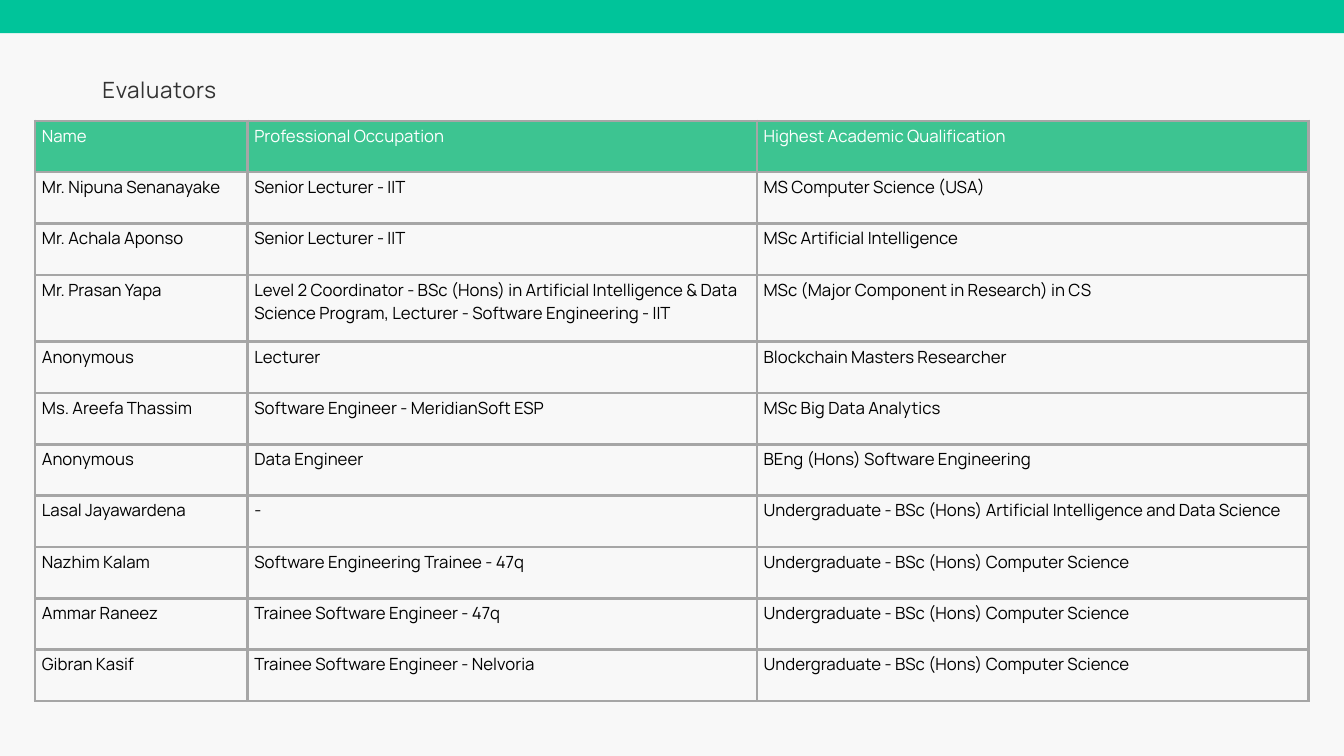
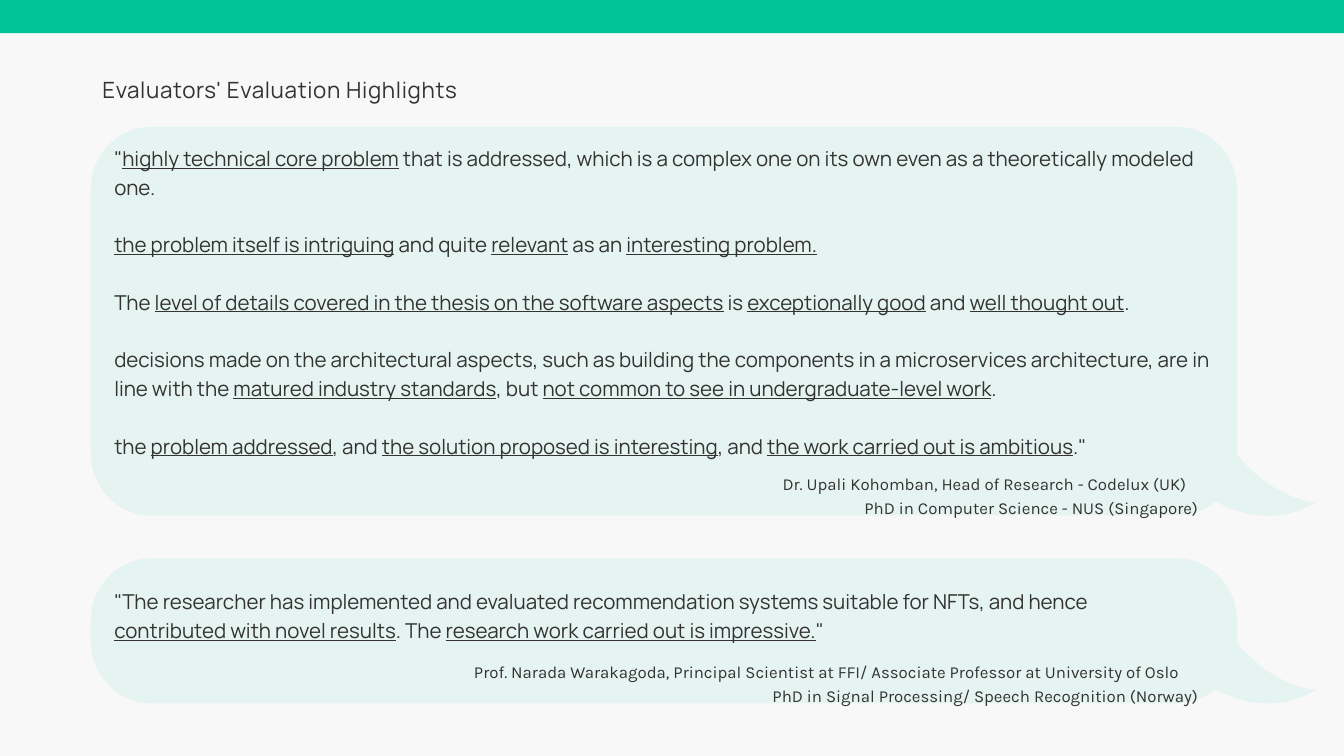
from pptx import Presentation
from pptx.dml.color import RGBColor
from pptx.enum.shapes import MSO_SHAPE
from pptx.enum.text import PP_ALIGN
from pptx.oxml.ns import qn
from pptx.util import Cm, Pt
from lxml.etree import SubElement

COLORS = {
    "background": "F8F8F8",
    "brand": "00C49A",
    "header": "3DC491",
    "border": "A6A6A6",
    "text": "333333",
    "black": "000000",
    "white": "FFFFFF",
}
BODY_FONT, CREDIT_FONT = "Manrope", "Karla"
SLIDE_W, SLIDE_H = 50.8, 28.58

# Bubble geometry in cm
BUBBLE_LEFT, BUBBLE_RIGHT = 3.43, 46.76
CORNER_X, CORNER_Y = 2.26, 2.36
CURVE = 0.55
QUOTE_LEFT, CREDIT_RIGHT = 4.32, 45.29

COLUMN_WIDTHS = [8.03, 19.25, 20.85]
ROW_HEIGHT, TALL_ROW_HEIGHT, TALL_ROW = 1.94, 2.53, 3
UNDERGRADUATE = "Undergraduate - BSc (Hons) Computer Science"
EVALUATORS = [
    ("Name", "Professional Occupation", "Highest Academic Qualification"),
    ("Mr. Nipuna Senanayake", "Senior Lecturer - IIT", "MS Computer Science (USA)"),
    ("Mr. Achala Aponso", "Senior Lecturer - IIT", "MSc Artificial Intelligence"),
    ("Mr. Prasan Yapa",
     "Level 2 Coordinator - BSc (Hons) in Artificial Intelligence & Data "
     "Science Program, Lecturer - Software Engineering - IIT",
     "MSc (Major Component in Research) in CS"),
    ("Anonymous", "Lecturer", "Blockchain Masters Researcher"),
    ("Ms. Areefa Thassim", "Software Engineer - MeridianSoft ESP",
     "MSc Big Data Analytics"),
    ("Anonymous", "Data Engineer", "BEng (Hons) Software Engineering"),
    ("Lasal Jayawardena", "-",
     "Undergraduate - BSc (Hons) Artificial Intelligence and Data Science"),
    ("Nazhim Kalam", "Software Engineering Trainee - 47q", UNDERGRADUATE),
    ("Ammar Raneez", "Trainee Software Engineer - 47q", UNDERGRADUATE),
    ("Gibran Kasif", "Trainee Software Engineer - Nelvoria", UNDERGRADUATE),
]

# Underscores enclose the underlined words
THESIS_QUOTE = [
    '"_highly technical core problem_ that is addressed, which is a complex one '
    "on its own even as a theoretically modeled one.",
    "_the problem itself is intriguing_ and quite _relevant_ as an "
    "_interesting problem._",
    "The _level of details covered in the thesis on the software aspects_ is "
    "_exceptionally good_ and _well thought out_.",
    "decisions made on the architectural aspects, such as building the components "
    "in a microservices architecture, are in line with the "
    "_matured industry standards_, but "
    "_not common to see in undergraduate-level work_.",
    "the _problem addressed_, and _the solution proposed is interesting_, and "
    '_the work carried out is ambitious_."',
]
RESULTS_QUOTE = [
    '"The researcher has implemented and evaluated recommendation systems suitable '
    "for NFTs, and hence _contributed with novel results_. The "
    '_research work carried out is impressive._"',
]


def rgb(name):
    return RGBColor.from_string(COLORS[name])


def paint(sp, color):
    sp.shadow.inherit = False
    sp.fill.solid()
    sp.fill.fore_color.rgb = rgb(color)
    sp.line.fill.background()


def style_run(r, size, color="text", font=BODY_FONT):
    r.font.size = Pt(size)
    r.font.name = font
    r.font.color.rgb = rgb(color)


def add_text_box(slide, left, top, width, height):
    tf = slide.shapes.add_textbox(Cm(left), Cm(top), Cm(width), Cm(height)).text_frame
    tf.word_wrap = True
    tf.margin_left = tf.margin_right = tf.margin_top = tf.margin_bottom = 0
    return tf


def next_paragraph(tf, index, line_spacing):
    p = tf.add_paragraph() if index else tf.paragraphs[0]
    p.line_spacing = Pt(line_spacing)
    return p


def add_base_slide(prs):
    slide = prs.slides.add_slide(prs.slide_layouts[6])
    slide.background.fill.solid()
    slide.background.fill.fore_color.rgb = rgb("background")
    band = slide.shapes.add_shape(MSO_SHAPE.RECTANGLE, 0, 0, Cm(SLIDE_W), Cm(1.25))
    paint(band, "brand")
    return slide


def add_title(slide, text):
    p = next_paragraph(add_text_box(slide, 3.87, 2.86, 29.41, 1.02), 0, 28.8)
    p.text = text
    style_run(p.runs[0], 24)
    p.runs[0].font._element.set("spc", "70")


def add_cell_borders(cell):
    tc_pr = cell._tc.get_or_add_tcPr()
    for side in ("a:lnL", "a:lnR", "a:lnT", "a:lnB"):
        ln = SubElement(tc_pr, qn(side), w=str(Pt(3)))
        fill = SubElement(ln, qn("a:solidFill"))
        SubElement(fill, qn("a:srgbClr"), val=COLORS["border"])


def add_evaluator_table(slide):
    heights = [ROW_HEIGHT] * len(EVALUATORS)
    heights[TALL_ROW] = TALL_ROW_HEIGHT
    table = slide.shapes.add_table(
        len(EVALUATORS), len(COLUMN_WIDTHS), Cm(1.33), Cm(4.57),
        Cm(sum(COLUMN_WIDTHS)), Cm(sum(heights))).table
    table.first_row = table.horz_banding = False
    for column, width in zip(table.columns, COLUMN_WIDTHS):
        column.width = Cm(width)
    for i, values in enumerate(EVALUATORS):
        table.rows[i].height = Cm(heights[i])
        for j, value in enumerate(values):
            cell = table.cell(i, j)
            add_cell_borders(cell)
            if i == 0:
                cell.fill.solid()
                cell.fill.fore_color.rgb = rgb("header")
            else:
                cell.fill.background()
            cell.text_frame.text = value
            style_run(cell.text_frame.paragraphs[0].runs[0], 18,
                      "black" if i else "white")


def corner_curve(start, corner, end):
    """Two control points and the end of a rounded corner."""
    controls = [tuple(a + CURVE * (c - a) for a, c in zip(point, corner))
                for point in (start, end)]
    return [*controls, end]


def add_outline(slide, start, segments):
    """Closed outline; a segment has one point (line) or three (cubic curve)."""
    points = [(Cm(x), Cm(y)) for segment in segments for x, y in segment]
    builder = slide.shapes.build_freeform(Cm(start[0]), Cm(start[1]))
    builder.add_line_segments(points, close=True)
    sp = builder.convert_to_shape()
    outline = next(sp._element.iter(qn("a:path")))
    nodes = iter(outline.findall(qn("a:lnTo")))
    for segment in segments:
        first, *others = [next(nodes) for _ in segment]
        if others:
            first.tag = qn("a:cubicBezTo")
        for node in others:
            first.append(node[0])
            outline.remove(node)
    return sp


def add_bubble(slide, top, bottom):
    left, right = BUBBLE_LEFT, BUBBLE_RIGHT
    inner_left, inner_right = left + CORNER_X, right - CORNER_X
    upper, lower = top + CORNER_Y, bottom - CORNER_Y
    tail_top, tail_base = (right, bottom - 2.29), (45.95, bottom - 0.53)
    tip = (49.76, bottom - 0.51)
    segments = [
        # Rounded body
        [(right, upper)],
        corner_curve((right, upper), (right, top), (inner_right, top)),
        [(inner_left, top)],
        corner_curve((inner_left, top), (left, top), (left, upper)),
        [(left, lower)],
        corner_curve((left, lower), (left, bottom), (inner_left, bottom)),
        [(inner_right, bottom)],
        # Tail
        [(45.03, bottom), (45.54, bottom - 0.2), tail_base],
        [(46.56, bottom - 0.2), (48.08, bottom + 0.48), tip],
        [tip, (48.26, tip[1]), tail_top],
    ]
    sp = add_outline(slide, tail_top, segments)
    paint(sp, "brand")
    color = sp._element.spPr.find(qn("a:solidFill")).find(qn("a:srgbClr"))
    SubElement(color, qn("a:alpha"), val="7000")


def add_quote(slide, top, width, height, paragraphs):
    tf = add_text_box(slide, QUOTE_LEFT, top, width, height)
    for i, text in enumerate(paragraphs):
        p = next_paragraph(tf, i, 30.8)
        if i:
            p.space_before = Pt(30.8)
        for n, part in enumerate(text.split("_")):
            if part:
                r = p.add_run()
                r.text = part
                style_run(r, 22)
                r.font.underline = n % 2 == 1


def add_credit(slide, top, width, person, degree):
    tf = add_text_box(slide, CREDIT_RIGHT - width, top, width, 1.7)
    lines = [(person, PP_ALIGN.CENTER), (degree, PP_ALIGN.RIGHT)]
    for i, (text, align) in enumerate(lines):
        p = next_paragraph(tf, i, 25.2)
        p.text = text
        p.alignment = align
        style_run(p.runs[0], 18, font=CREDIT_FONT)


def main():
    prs = Presentation()
    prs.slide_width, prs.slide_height = Cm(SLIDE_W), Cm(SLIDE_H)

    # Evaluators
    slide = add_base_slide(prs)
    add_evaluator_table(slide)
    add_title(slide, "Evaluators")

    # Evaluation highlights
    slide = add_base_slide(prs)
    add_bubble(slide, 4.8, 19.49)
    add_title(slide, "Evaluators' Evaluation Highlights")
    add_quote(slide, 5.37, 42.16, 11.89, THESIS_QUOTE)
    add_credit(slide, 17.79, 16.15,
               "Dr. Upali Kohomban, Head of Research - Codelux (UK)",
               "PhD in Computer Science - NUS (Singapore)")
    add_bubble(slide, 21.11, 26.59)
    add_quote(slide, 22.12, 40.97, 2.11, RESULTS_QUOTE)
    add_credit(slide, 24.89, 28.09,
               "Prof. Narada Warakagoda, Principal Scientist at FFI/ "
               "Associate Professor at University of Oslo",
               "PhD in Signal Processing/ Speech Recognition (Norway)")

    prs.save("out.pptx")


if __name__ == "__main__":
    main()
